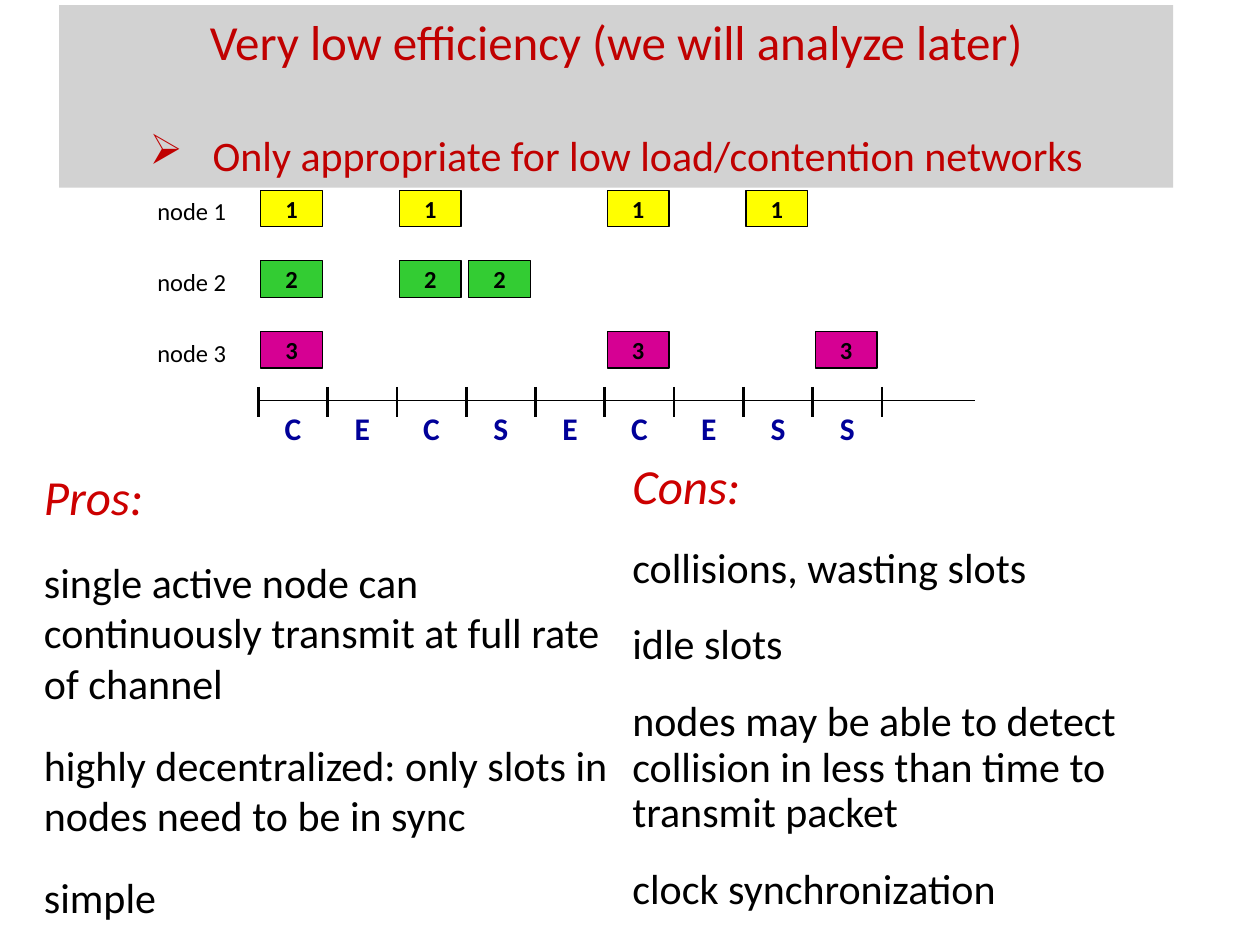
import dataclasses

import lxml.etree
import pptx
import pptx.dml.color
import pptx.enum.shapes
import pptx.enum.text
import pptx.oxml.ns
import pptx.util

Inches = pptx.util.Inches
Pt = pptx.util.Pt
ALIGN = pptx.enum.text.PP_ALIGN
ANCHOR = pptx.enum.text.MSO_ANCHOR


@dataclasses.dataclass(frozen=True)
class Theme:
    font: str = "Calibri"
    ink: str = "000000"
    banner: str = "D2D2D2"
    title: str = "C00000"
    heading: str = "CC0000"
    outcome: str = "000099"
    nodes: tuple = ("FFFF00", "33CC33", "D60093")
    large: int = 28
    body: int = 24
    medium: int = 18
    small: int = 14


THEME = Theme()

# Timeline grid, in inches
AXIS_LEFT, AXIS_RIGHT, AXIS_Y = 2.05, 7.74, 3.18
SLOT = 0.55
TICK_TOP, TICK_BOTTOM = 3.07, 3.31
ROW_TOP, ROW_PITCH = 1.51, 0.56
PACKET_WIDTH, PACKET_HEIGHT = 0.49, 0.29

TRANSMISSIONS = [(0, 2, 5, 7), (0, 2, 3), (0, 5, 8)]
OUTCOMES = "CECSECESS"

PROS = [
    "single active node can continuously transmit at full rate of channel",
    "highly decentralized: only slots in nodes need to be in sync",
    "simple",
]
CONS = [
    "collisions, wasting slots",
    "idle slots",
    "nodes may be able to detect collision in less than time to transmit packet",
    "clock synchronization",
]


def rgb(value):
    return pptx.dml.color.RGBColor.from_string(value)


def write(paragraph, text, *, size, color=THEME.ink, bold=False, italic=False,
          align=ALIGN.LEFT, before=0, spacing=1.0):
    paragraph.alignment = align
    paragraph.space_before = Pt(before)
    paragraph.line_spacing = spacing
    run = paragraph.add_run()
    run.text = text
    run.font.name = THEME.font
    run.font.size = Pt(size)
    run.font.bold = bold
    run.font.italic = italic
    run.font.color.rgb = rgb(color)


def add_bullet(paragraph, character, indent):
    """Give the paragraph a bullet with a hanging indent."""
    properties = paragraph._p.get_or_add_pPr()
    properties.set("marL", str(indent))
    properties.set("indent", str(-indent))
    bullet = lxml.etree.SubElement(properties, pptx.oxml.ns.qn("a:buChar"))
    bullet.set("char", character)


class SlideBuilder:
    def __init__(self, slide, theme):
        self.slide = slide
        self.theme = theme

    def title(self, heading, point):
        banner = self.slide.shapes.title
        banner.left, banner.top = Inches(0.47), Inches(0.04)
        banner.width, banner.height = Inches(8.84), Inches(1.45)
        banner.fill.solid()
        banner.fill.fore_color.rgb = rgb(self.theme.banner)
        frame = banner.text_frame
        frame.auto_size = pptx.enum.text.MSO_AUTO_SIZE.NONE
        frame.vertical_anchor = ANCHOR.TOP
        write(frame.paragraphs[0], heading, size=self.theme.large,
              color=self.theme.title, align=ALIGN.CENTER)
        point_paragraph = frame.add_paragraph()
        write(point_paragraph, point, size=self.theme.body,
              color=self.theme.title, align=ALIGN.CENTER, before=34)
        add_bullet(point_paragraph, "➢", Inches(0.5))

    def text_box(self, left, top, width, height):
        box = self.slide.shapes.add_textbox(
            Inches(left), Inches(top), Inches(width), Inches(height))
        box.text_frame.word_wrap = True
        return box.text_frame

    def label(self, text, left, top, width, height, **style):
        write(self.text_box(left, top, width, height).paragraphs[0], text, **style)

    def argument_list(self, heading, points, left, top, width, spacing=1.0):
        frame = self.text_box(left, top, width, 3.5)
        write(frame.paragraphs[0], heading, size=self.theme.large,
              color=self.theme.heading, italic=True, spacing=spacing)
        for point in points:
            write(frame.add_paragraph(), point, size=self.theme.body,
                  before=18, spacing=spacing)

    def packet(self, text, left, top, color):
        box = self.slide.shapes.add_shape(
            pptx.enum.shapes.MSO_SHAPE.RECTANGLE, Inches(left), Inches(top),
            Inches(PACKET_WIDTH), Inches(PACKET_HEIGHT))
        box.shadow.inherit = False
        box.fill.solid()
        box.fill.fore_color.rgb = rgb(color)
        box.line.color.rgb = rgb(self.theme.ink)
        box.line.width = Pt(0.75)
        frame = box.text_frame
        frame.margin_left = frame.margin_right = 0
        frame.margin_top = frame.margin_bottom = 0
        frame.vertical_anchor = ANCHOR.MIDDLE
        write(frame.paragraphs[0], text, size=self.theme.small, bold=True,
              align=ALIGN.CENTER)

    def line(self, x1, y1, x2, y2, width):
        connector = self.slide.shapes.add_connector(
            pptx.enum.shapes.MSO_CONNECTOR.STRAIGHT,
            Inches(x1), Inches(y1), Inches(x2), Inches(y2))
        connector.line.color.rgb = rgb(self.theme.ink)
        connector.line.width = Pt(width)
        lxml.etree.SubElement(connector._element.spPr,
                              pptx.oxml.ns.qn("a:effectLst"))

    def node_row(self, number, slots, color):
        top = ROW_TOP + (number - 1) * ROW_PITCH
        self.label(f"node {number}", 1.15, top, 0.76, 0.34, size=self.theme.small)
        for slot in slots:
            self.packet(str(number), AXIS_LEFT + slot * SLOT + 0.02, top, color)

    def time_axis(self, outcomes):
        self.line(AXIS_LEFT, AXIS_Y, AXIS_RIGHT, AXIS_Y, 0.75)
        for tick in range(len(outcomes) + 1):
            x = AXIS_LEFT + tick * SLOT
            self.line(x, TICK_TOP, x, TICK_BOTTOM, 1.5)
        label_width = 0.4
        for slot, outcome in enumerate(outcomes):
            left = AXIS_LEFT + (slot + 0.5) * SLOT - label_width / 2
            self.label(outcome, left, 3.2, label_width, 0.4, bold=True,
                       size=self.theme.medium, color=self.theme.outcome,
                       align=ALIGN.CENTER)


def main():
    deck = pptx.Presentation()
    deck.slide_width, deck.slide_height = Inches(10), Inches(7.5)
    title_only = deck.slide_layouts[5]
    builder = SlideBuilder(deck.slides.add_slide(title_only), THEME)

    builder.title("Very low efficiency (we will analyze later)",
                  "Only appropriate for low load/contention networks")
    for number, (slots, color) in enumerate(zip(TRANSMISSIONS, THEME.nodes), 1):
        builder.node_row(number, slots, color)
    builder.time_axis(OUTCOMES)
    builder.argument_list("Pros:", PROS, 0.25, 3.65, 4.75)
    builder.argument_list("Cons:", CONS, 4.92, 3.62, 4.29, spacing=0.9)

    deck.save("out.pptx")


if __name__ == "__main__":
    main()
